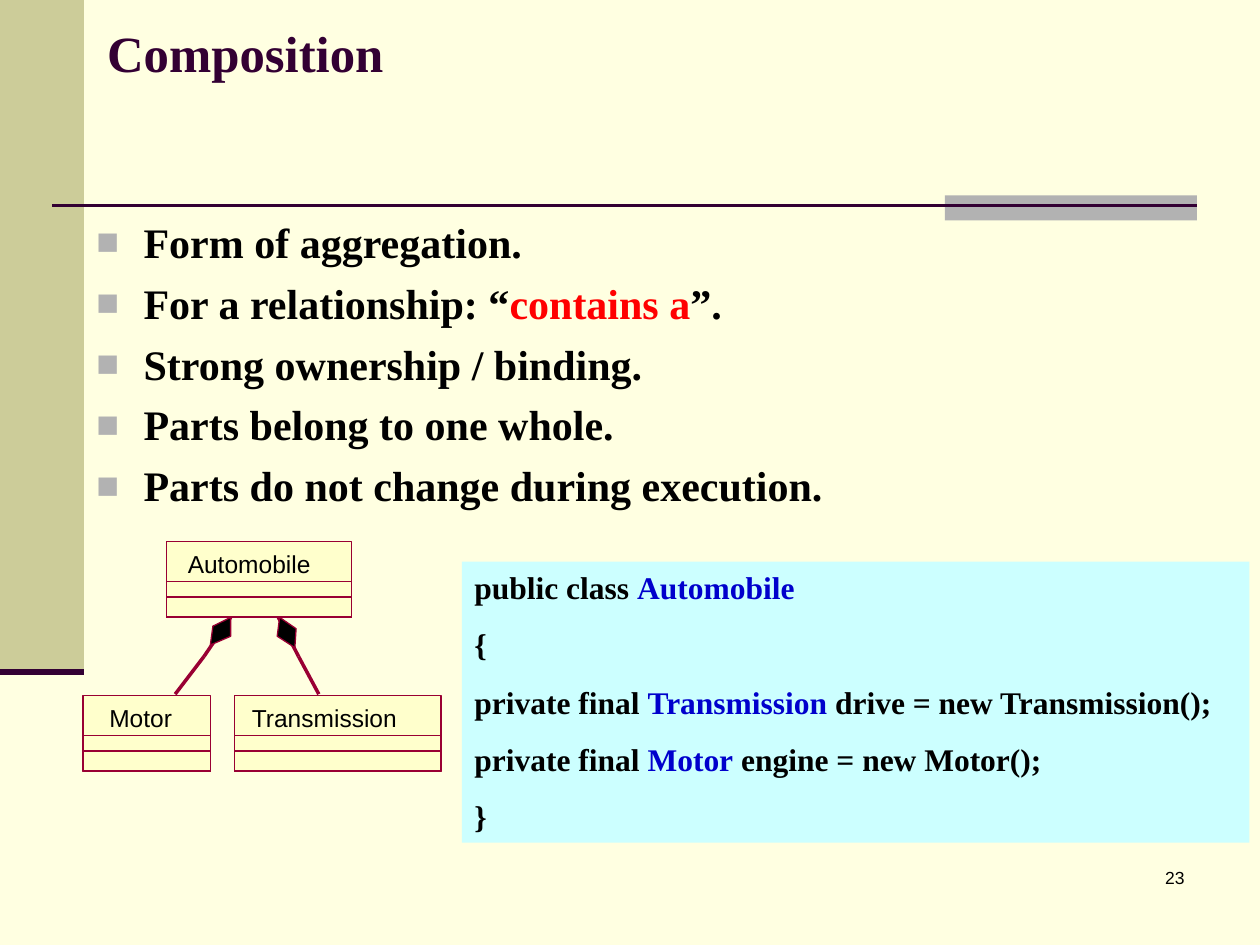
from lxml.etree import SubElement
from pptx import Presentation
from pptx.dml.color import RGBColor
from pptx.enum.shapes import MSO_CONNECTOR, MSO_SHAPE
from pptx.enum.text import MSO_ANCHOR, MSO_AUTO_SIZE, PP_ALIGN
from pptx.oxml.ns import qn
from pptx.util import Pt

HUES = {
    "page": "FFFFE1", "band": "CCCC99", "gray": "B2B2B2", "plum": "330033",
    "ink": "000000", "red": "FF0000", "blue": "0000CC", "code": "CCFFFF",
    "card": "FFFFCC", "edge": "990033",
}
SERIF, SANS = "Times New Roman", "Arial"
POINTS = [
    ["Form of aggregation."],
    ["For a relationship: “", ("contains a", "red"), "”."],
    ["Strong ownership / binding."],
    ["Parts belong to one whole."],
    ["Parts do not change during execution."],
]
CODE = [
    ["public class ", ("Automobile", "blue")],
    ["{"],
    ["private final ", ("Transmission", "blue"), " drive = new Transmission();"],
    ["private final ", ("Motor", "blue"), " engine = new Motor();"],
    ["}"],
]


def hue(name):
    """Return the named colour."""
    return RGBColor.from_string(HUES[name])


def paint(shape, fill=None, edge=None):
    """Set the fill and hairline edge of a shape."""
    shape.shadow.inherit = False
    if fill:
        shape.fill.solid()
        shape.fill.fore_color.rgb = hue(fill)
    else:
        shape.fill.background()
    if edge:
        shape.line.color.rgb = hue(edge)
        shape.line.width = Pt(0)
    else:
        shape.line.fill.background()


def rect(slide, box, fill=None, edge=None):
    """Add a rectangle in the given box."""
    shape = slide.shapes.add_shape(MSO_SHAPE.RECTANGLE, *map(Pt, box))
    paint(shape, fill, edge)
    return shape


def rule(slide, ends, color, width=0):
    """Add a straight line between two points."""
    line = slide.shapes.add_connector(MSO_CONNECTOR.STRAIGHT, *map(Pt, ends))
    line.line.color.rgb = hue(color)
    line.line.width = Pt(width)
    SubElement(line._element.spPr, qn("a:effectLst"))


def mark(para):
    """Give a paragraph a hanging square bullet."""
    props = para._p.get_or_add_pPr()
    props.set("marL", str(Pt(27)))
    props.set("indent", str(-Pt(27)))
    tint = SubElement(props, qn("a:buClr"))
    SubElement(tint, qn("a:srgbClr")).set("val", HUES["gray"])
    SubElement(props, qn("a:buSzPct")).set("val", "90000")
    SubElement(props, qn("a:buFont")).set("typeface", SANS)
    SubElement(props, qn("a:buChar")).set("char", "■")


def write(frame, lines, size, font=SERIF, color="ink", bold=False,
          align=PP_ALIGN.LEFT, gap=0, bullet=False, wrap=True, inset=None):
    """Fill a text frame with lines made of plain or coloured parts."""
    frame.word_wrap = wrap
    frame.auto_size = MSO_AUTO_SIZE.NONE
    if inset is not None:
        frame.margin_left = frame.margin_right = Pt(inset)
        frame.margin_top = frame.margin_bottom = Pt(inset)
    for row, line in enumerate(lines):
        para = frame.add_paragraph() if row else frame.paragraphs[0]
        if bullet:
            mark(para)
        para.alignment = align
        para.space_before = Pt(gap if row else 0)
        for part in line:
            text, tone = (part, color) if isinstance(part, str) else part
            run = para.add_run()
            run.text = text
            run.font.name, run.font.size, run.font.bold = font, Pt(size), bold
            run.font.color.rgb = hue(tone)


def label(slide, box, lines, **form):
    """Add a text box with formatted lines."""
    frame = slide.shapes.add_textbox(*map(Pt, box)).text_frame
    write(frame, lines, **form)


def decor(slide, box):
    """Place the side band and the rule below the title."""
    x, y, w, h = box
    rect(slide, (x, y, 48, 384), "band")
    rect(slide, (x + w - 180, y + 111.6, 144, 14.4), "gray")
    rule(slide, (x + 30, y + 117.5, x + w - 36, y + 117.5), "plum", 1.5)
    rule(slide, (x, y + 384, x + 48, y + 384), "plum", 3.5)


def head(slide, box):
    """Place and format the title."""
    title = slide.shapes.title
    title.left, title.top, title.width, title.height = map(Pt, box)
    title.fill.solid()
    title.fill.fore_color.rgb = hue("page")
    title.text_frame.vertical_anchor = MSO_ANCHOR.MIDDLE
    write(title.text_frame, [["Composition"]], size=29, color="plum", bold=True)


def listing(slide, box):
    """Place the code panel."""
    panel = rect(slide, box, "code")
    panel.text_frame.vertical_anchor = MSO_ANCHOR.TOP
    write(panel.text_frame, CODE, size=18, bold=True, gap=11.2)


def card(slide, box, name, pad):
    """Place a class box with its name and two lower compartments."""
    x, y, w, h = box
    rect(slide, box, "card", "edge")
    label(slide, (x + pad, y + 4.3, w - 2 * pad, 16.6), [[name]],
          size=14, font=SANS, wrap=False, inset=0)
    for part in (20.2, 11.5):
        rect(slide, (x, y + h - part, w, part), None, "edge")


def link(slide, box, spots, kite):
    """Place a bent line with a filled diamond at its upper end."""
    x, y = box[:2]
    (ax, ay), (bx, by), (cx, cy) = [(x + px, y + py) for px, py in spots]
    rule(slide, (bx, by, cx, cy), "edge")
    rule(slide, (bx, by, ax, ay), "edge")
    dots = [(Pt(x + px), Pt(y + py)) for px, py in kite]
    pen = slide.shapes.build_freeform(*dots[0])
    pen.add_line_segments(dots[1:], close=True)
    paint(pen.convert_to_shape(), "ink", "edge")


def diagram(slide, box):
    """Place the three classes and their composition links."""
    x, y, w, h = box
    tall = 43
    low = y + h - tall
    card(slide, (x, low, 72.8, tall), "Motor", 15)
    card(slide, (x + 47.5, y, 105.8, tall), "Automobile", 12.3)
    link(slide, box, [(84.3, 43.2), (69.1, 65.5), (52.6, 87.1)],
         [(84.3, 43.2), (84.3, 54), (72.7, 59), (74.2, 48.2)])
    card(slide, (x + w - 118.1, low, 118.1, tall), "Transmission", 10)
    link(slide, box, [(111.6, 43.2), (123.1, 65.5), (134.7, 87.1)],
         [(112.3, 43.2), (121.7, 49.7), (121, 60.5), (110.9, 54)])


def main():
    """Build and save the slide."""
    deck = Presentation()
    deck.slide_width, deck.slide_height = Pt(720), Pt(540)
    slide = deck.slides.add_slide(deck.slide_layouts[5])
    slide.background.fill.solid()
    slide.background.fill.fore_color.rgb = hue("page")
    decor(slide, (0, 0, 720, 540))
    head(slide, (54, 0, 612, 60))
    label(slide, (48, 120, 612, 192), POINTS, size=24, bold=True,
          gap=6, bullet=True)
    listing(slide, (264, 321, 450, 160.5))
    diagram(slide, (47.5, 309.6, 204.5, 131))
    label(slide, (534, 492, 150, 36), [["23"]], size=10, font=SANS,
          align=PP_ALIGN.RIGHT)
    deck.save("out.pptx")


if __name__ == "__main__":
    main()
